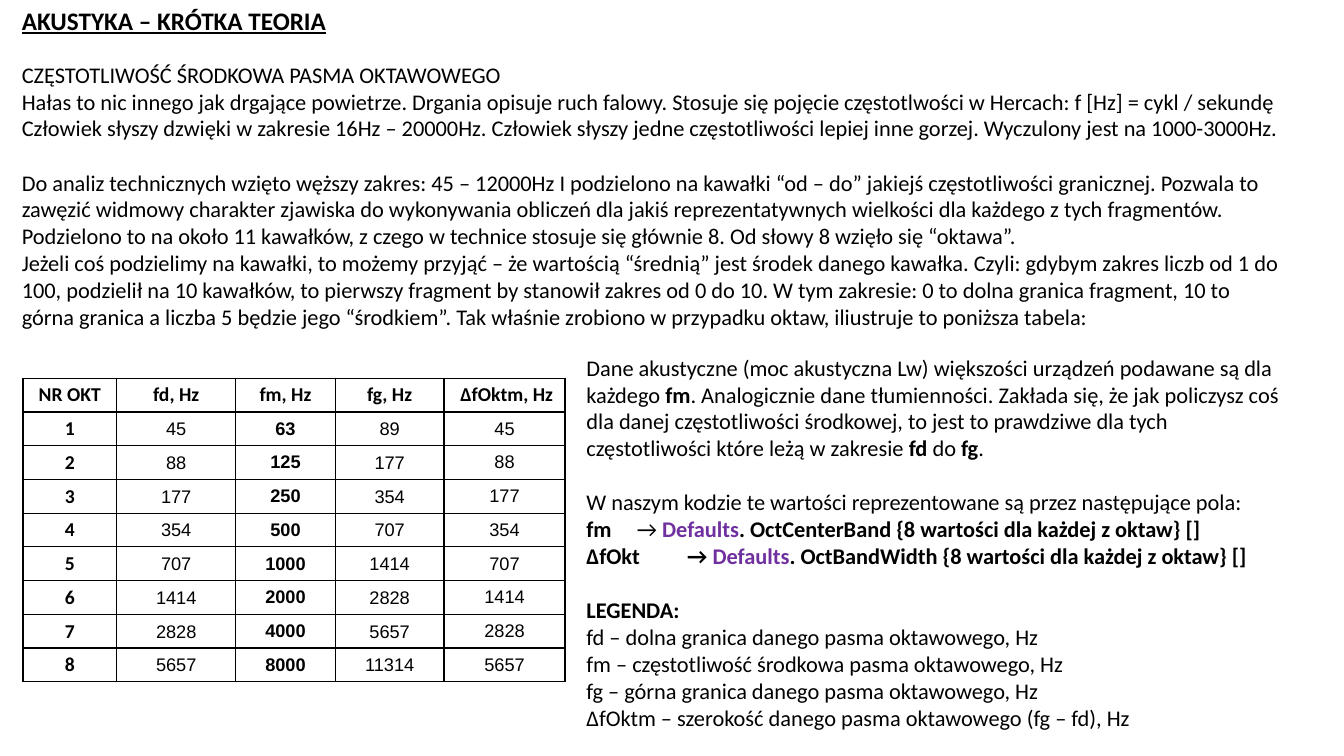
import pptx
import pptx.util
import pptx.dml.color
import pptx.enum.text
import pptx.oxml
import pptx.oxml.ns

Cm, Pt = pptx.util.Cm, pptx.util.Pt
RGB = pptx.dml.color.RGBColor.from_string
ALIGN = pptx.enum.text.PP_ALIGN
ANCHOR = pptx.enum.text.MSO_ANCHOR

# Each paragraph is (gap before in points, runs); each run is (style, text).
THEORY = [
    (0, [("title", "AKUSTYKA – KRÓTKA TEORIA")]),
    (18.3, [("body", "CZĘSTOTLIWOŚĆ ŚRODKOWA PASMA OKTAWOWEGO")]),
    (0, [("body", "Hałas to nic innego jak drgające powietrze. Drgania opisuje ruch falowy. "
          "Stosuje się pojęcie częstotlwości w Hercach: f [Hz] = cykl / sekundę")]),
    (0, [("body", "Człowiek słyszy dzwięki w zakresie 16Hz – 20000Hz. Człowiek słyszy jedne "
          "częstotliwości lepiej inne gorzej. Wyczulony jest na 1000-3000Hz.")]),
    (19.5, [("body", "Do analiz technicznych wzięto węższy zakres: 45 – 12000Hz I podzielono na "
             "kawałki “od – do” jakiejś częstotliwości granicznej. Pozwala to zawęzić widmowy "
             "charakter zjawiska do wykonywania obliczeń dla jakiś reprezentatywnych wielkości "
             "dla każdego z tych fragmentów. Podzielono to na około 11 kawałków, z czego w "
             "technice stosuje się głównie 8. Od słowy 8 wzięło się “oktawa”.")]),
    (0, [("body", "Jeżeli coś podzielimy na kawałki, to możemy przyjąć – że wartością “średnią” "
          "jest środek danego kawałka. Czyli: gdybym zakres liczb od 1 do 100, podzielił na 10 "
          "kawałków, to pierwszy fragment by stanowił zakres od 0 do 10. W tym zakresie: 0 to "
          "dolna granica fragment, 10 to górna granica a liczba 5 będzie jego “środkiem”. Tak "
          "właśnie zrobiono w przypadku oktaw, iliustruje to poniższa tabela:")]),
]
FIELDS = [
    (0, [("body", "Dane akustyczne (moc akustyczna Lw) większości urządzeń podawane są dla każdego "),
         ("bold", "fm"),
         ("body", ". Analogicznie dane tłumienności. Zakłada się, że jak policzysz coś dla danej "
          "częstotliwości środkowej, to jest to prawdziwe dla tych częstotliwości które leżą "
          "w zakresie "),
         ("bold", "fd"), ("body", " do "), ("bold", "fg"), ("body", ".")]),
    (19.5, [("body", "W naszym kodzie te wartości reprezentowane są przez następujące pola:")]),
    (0, [("bold", "fm \t"), ("body", "→ "), ("code", "Defaults"),
         ("bold", ". OctCenterBand {8 wartości dla każdej z oktaw} []")]),
    (0, [("bold", "∆fOkt \t→ "), ("code", "Defaults"),
         ("bold", ". OctBandWidth {8 wartości dla każdej z oktaw} []")]),
    (19.5, [("bold", "LEGENDA:")]),
    (0, [("body", "fd – dolna granica danego pasma oktawowego, Hz")]),
    (0, [("body", "fm – częstotliwość środkowa pasma oktawowego, Hz")]),
    (0, [("body", "fg – górna granica danego pasma oktawowego, Hz")]),
    (0, [("body", "∆fOktm – szerokość danego pasma oktawowego (fg – fd), Hz")]),
]
HEAD = ["NR OKT", "fd, Hz", "fm, Hz", "fg, Hz", " ∆fOktm, Hz"]
BANDS = [
    (1, 45, 63, 89, 45),
    (2, 88, 125, 177, 88),
    (3, 177, 250, 354, 177),
    (4, 354, 500, 707, 354),
    (5, 707, 1000, 1414, 707),
    (6, 1414, 2000, 2828, 1414),
    (7, 2828, 4000, 5657, 2828),
    (8, 5657, 8000, 11314, 5657),
]
WIDTHS = [2.36, 3, 2.51, 2.74, 3.05]
ROW = 0.85

INK = "000000"
PLAIN = {"name": "Calibri", "size": Pt(16), "bold": False}
THEME = {
    "title": (INK, {**PLAIN, "size": Pt(18), "bold": True, "underline": True}),
    "body": (INK, PLAIN),
    "bold": (INK, {**PLAIN, "bold": True}),
    "code": ("7030A0", {**PLAIN, "bold": True}),
    "head": (INK, {**PLAIN, "size": Pt(14), "bold": True}),
    "value": (INK, {"name": "Arial", "size": Pt(13), "bold": False}),
    "mid": (INK, {"name": "Arial", "size": Pt(13), "bold": True}),
}
COLUMNS = ["head", "value", "mid", "value", "value"]
TIGHT = {"margin_left": Cm(0.03), "margin_right": Cm(0.03),
         "margin_top": Cm(0.03), "margin_bottom": 0}
TIGHT_COLS = (1, 3)


def assign(item, values):
    for key, value in values.items():
        setattr(item, key, value)


def add_run(para, style, text):
    run = para.add_run()
    run.text = text
    color, font = THEME[style]
    assign(run.font, font)
    run.font.color.rgb = RGB(color)


def add_text(slide, box, paras):
    frame = slide.shapes.add_textbox(*map(Cm, box)).text_frame
    assign(frame, {"word_wrap": True,
                   "auto_size": pptx.enum.text.MSO_AUTO_SIZE.SHAPE_TO_FIT_TEXT})
    for i, (gap, runs) in enumerate(paras):
        para = frame.add_paragraph() if i else frame.paragraphs[0]
        para.space_before = Pt(gap)
        for style, text in runs:
            add_run(para, style, text)


def add_edges(cell):
    """Draw a thin line on all four sides of a table cell."""
    props = cell._tc.get_or_add_tcPr()
    for side in ("lnL", "lnR", "lnT", "lnB"):
        props.append(pptx.oxml.parse_xml(
            f'<a:{side} {pptx.oxml.ns.nsdecls("a")} w="{Pt(1)}"><a:solidFill>'
            f'<a:srgbClr val="{INK}"/></a:solidFill></a:{side}>'))


def add_bands(slide, left, top):
    rows = [HEAD] + BANDS
    table = slide.shapes.add_table(len(rows), len(HEAD), Cm(left), Cm(top),
                                   Cm(sum(WIDTHS)), Cm(ROW * len(rows))).table
    assign(table, {"first_row": False, "horz_banding": False})
    for column, width in zip(table.columns, WIDTHS):
        column.width = Cm(width)
    for r, row in enumerate(rows):
        table.rows[r].height = Cm(ROW)
        for c, value in enumerate(row):
            cell = table.cell(r, c)
            style = COLUMNS[c] if r else "head"
            add_edges(cell)
            cell.fill.background()
            if style != "head":
                cell.vertical_anchor = ANCHOR.MIDDLE
                if c in TIGHT_COLS:
                    assign(cell, TIGHT)
            para = cell.text_frame.paragraphs[0]
            para.alignment = ALIGN.CENTER
            add_run(para, style, str(value))


def main():
    deck = pptx.Presentation()
    assign(deck, {"slide_width": Cm(33.87), "slide_height": Cm(19.05)})
    slide = deck.slides.add_slide(deck.slide_layouts[6])
    add_text(slide, (0.3, 0, 32.33, 11.89), THEORY)
    add_bands(slide, 0.58, 9.53)
    add_text(slide, (14.53, 8.79, 18.21, 10.46), FIELDS)
    deck.save("out.pptx")


if __name__ == "__main__":
    main()
